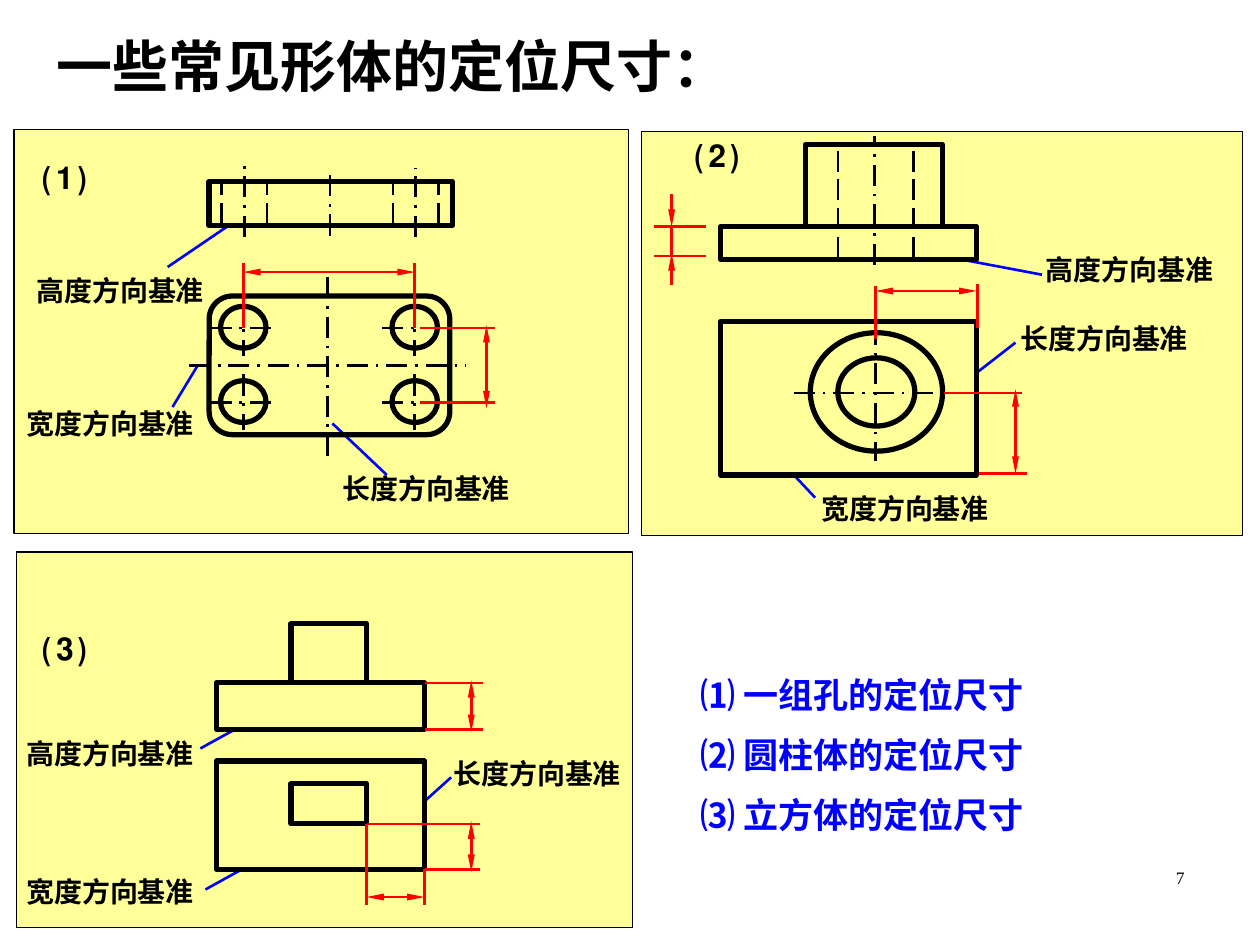
from dataclasses import dataclass
from itertools import product
from lxml.etree import SubElement as Sub
from pptx import Presentation
from pptx.dml.color import RGBColor
from pptx.enum.dml import MSO_LINE as Dash
from pptx.enum.shapes import MSO_CONNECTOR as Link, MSO_SHAPE as Kind
from pptx.enum.text import MSO_ANCHOR as Anchor, PP_ALIGN as Align
from pptx.oxml.ns import qn
from pptx.util import Pt

BLACK = RGBColor(0, 0, 0)
RED = RGBColor(255, 0, 0)
BLUE = RGBColor(0, 0, 255)
CREAM = RGBColor(255, 255, 153)
AXIS = Dash.LONG_DASH_DOT
HIDDEN = Dash.LONG_DASH
HEIGHT, WIDTH, LENGTH = "高度方向基准", "宽度方向基准", "长度方向基准"


@dataclass
class Box:
    """An area of the slide, in points."""
    shapes: object
    x: float
    y: float
    w: float
    h: float


def text(box, words, x, y, w, h, size=16, font="Roboto", color=BLACK, bold=True,
         align=Align.LEFT, anchor=Anchor.MIDDLE, wrap=True):
    """Place one line of formatted text."""
    frame = box.shapes.add_textbox(Pt(box.x + x), Pt(box.y + y), Pt(w), Pt(h)).text_frame
    frame.word_wrap = wrap
    frame.vertical_anchor = anchor
    para = frame.paragraphs[0]
    para.alignment = align
    run = para.add_run()
    run.text = words
    run.font.size, run.font.bold, run.font.name = Pt(size), bold, font
    run.font.color.rgb = color
    Sub(run.font._element, qn("a:ea"), typeface=font)


def shape(box, x, y, w, h, kind=Kind.RECTANGLE, fill=None, weight=3):
    """Draw an outlined preset shape."""
    item = box.shapes.add_shape(kind, Pt(box.x + x), Pt(box.y + y), Pt(w), Pt(h))
    item.shadow.inherit = False
    if fill is None:
        item.fill.background()
    else:
        item.fill.solid()
        item.fill.fore_color.rgb = fill
    item.line.color.rgb = BLACK
    item.line.width = Pt(weight)


def oval(box, x, y, w, h):
    """Draw an ellipse around a centre."""
    shape(box, x - w / 2, y - h / 2, w, h, Kind.OVAL)


def line(box, x1, y1, x2, y2, color=BLACK, dash=None, ends=()):
    """Draw a thin line with optional arrowheads."""
    item = box.shapes.add_connector(Link.STRAIGHT, Pt(box.x + x1), Pt(box.y + y1),
                                    Pt(box.x + x2), Pt(box.y + y2))
    item.line.color.rgb = color
    item.line.width = Pt(1.5)
    if dash:
        item.line.dash_style = dash
    for end in ends:
        Sub(item.line._get_or_add_ln(), qn(f"a:{end}End"), type="triangle", w="sm", len="lg")
    Sub(item._element.spPr, qn("a:effectLst"))


def arrow(box, x1, y1, x2, y2):
    """Draw a dimension line with two arrowheads."""
    line(box, x1, y1, x2, y2, RED, ends=("head", "tail"))


def rules(box, spans, color=BLACK, dash=None):
    """Draw several lines of one style."""
    for span in spans:
        line(box, *span, color, dash)


def panel(box, tag, x, y, notes):
    """Draw a panel with its number, captions and leaders."""
    shape(box, 0, 0, box.w, box.h, fill=CREAM, weight=0.75)
    text(box, tag, x, y, 39, 36, size=24, align=Align.CENTER, wrap=False)
    for words, left, top, lead in notes:
        text(box, words, left, top, 110, 27, align=Align.CENTER, wrap=False)
        line(box, *lead, BLUE)


def holes(box):
    """Draw the plate with four holes."""
    panel(box, "⑴", 9.3, 6.6, [
        (HEIGHT, 5.7, 78.6, (121.6, 55.6, 87.8, 78.6)),
        (WIDTH, 0, 154.2, (105, 134.8, 90.6, 158.6)),
        (LENGTH, 180.6, 191.7, (182, 168, 213, 197.4))])
    shape(box, 111.5, 29.7, 139, 25.2)
    for x, top in ((131.7, 18.2), (229.6, 21.8)):
        line(box, x, 61.4, x, top, dash=AXIS)
        for edge in (x - 13, x + 13):
            line(box, edge, 54.2, edge, 29.7, dash=HIDDEN)
    line(box, 180.6, 60.6, 180.6, 23.2, dash=AXIS)
    shape(box, 111.5, 95.2, 137.5, 79.2, Kind.ROUNDED_RECTANGLE)
    for x, y in product((131, 229), (113.5, 156)):
        oval(box, x, y - 0.5, 26, 23.8)
        rules(box, [(x - 18.7, y, x + 18.7, y), (x, y - 16, x, y + 16)], dash=AXIS)
    rules(box, [(100, 134.8, 258.4, 134.8), (179.2, 84.4, 179.2, 187.4)], dash=AXIS)
    rules(box, [(x, 113.5, x, 76.5) for x in (131, 229)], RED)
    rules(box, [(232, y, 275, y) for y in (113.5, 156)], RED)
    arrow(box, 131, 81.5, 229, 81.5)
    arrow(box, 270, 111.8, 270, 159.3)


def tube(box):
    """Draw the cylinder on a base."""
    panel(box, "⑵", 23.7, -6.6, [
        (HEIGHT, 223.9, 65.4, (182.9, 73.3, 229, 82)),
        (LENGTH, 209.5, 105, (191.5, 138.1, 213.8, 120.8)),
        (WIDTH, 95.7, 202.2, (99.3, 209.4, 87.1, 196.4))])
    shape(box, 45.3, 54.6, 146.2, 18.7)
    shape(box, 93.6, 7.8, 78.5, 46.5)
    rules(box, [(x, 72.6, x, 7.8) for x in (112.3, 155.5)], dash=HIDDEN)
    shape(box, 45.3, 108.6, 146.2, 87.8)
    oval(box, 134.3, 149, 44, 39)
    oval(box, 134.3, 149, 75.6, 67.7)
    rules(box, [(133.2, 76.2, 133.2, 2.8), (87.1, 149.6, 180.7, 149.6),
                (133.9, 110, 133.9, 188.5)], dash=AXIS)
    rules(box, [(133.9, 118.7, 133.9, 88.4), (192.2, 112.2, 192.2, 87),
                (172.8, 149.6, 217.4, 149.6), (193, 195.7, 220.3, 195.7),
                (36.7, 54.6, 7.2, 54.6), (36.7, 71.2, 7.2, 71.2),
                (17.3, 54.6, 17.3, 71.2)], RED)
    arrow(box, 133.9, 91.3, 191.5, 91.3)
    arrow(box, 213.8, 147.5, 213.8, 195.7)
    line(box, 17.3, 35.9, 17.3, 54.6, RED, ends=("tail",))
    line(box, 17.3, 69.7, 17.3, 87.7, RED, ends=("head",))


def block(box):
    """Draw the cuboid on a base."""
    panel(box, "⑶", 7.9, 34.5, [
        (HEIGHT, -1.5, 101.5, (126, 100.8, 105.1, 112.3)),
        (LENGTH, 242.6, 113, (233.2, 142.5, 248.4, 128.8)),
        (WIDTH, -1.5, 180.7, (128.8, 181.4, 108, 192.9))])
    for top, high in ((74.8, 26.6), (119.5, 61.9)):
        shape(box, 114.4, top, 118.8, high)
    for top, high in ((41, 33.8), (132.4, 23)):
        shape(box, 156.9, top, 43.2, high)
    rules(box, [(233.2, 74.8, 266.4, 74.8), (233.2, 101.5, 266.4, 101.5),
                (200.1, 155.5, 264.9, 155.5), (233.2, 181.4, 264.9, 181.4),
                (200.1, 155.5, 200.1, 201.6), (233.2, 181.4, 233.2, 201.6)], RED)
    arrow(box, 259.9, 73.4, 259.9, 102.9)
    arrow(box, 259.9, 154, 259.9, 182.8)
    arrow(box, 200.1, 197.2, 233.2, 197.2)


def legend(box):
    """List the three cases."""
    rows = ("⑴ 一组孔的定位尺寸", "⑵ 圆柱体的定位尺寸", "⑶ 立方体的定位尺寸")
    for i, words in enumerate(rows):
        text(box, words, 0, i * box.h / 3, box.w, 31.7, size=20,
             font="Noto Sans CJK SC", color=BLUE)


def main():
    """Build and save the slide."""
    deck = Presentation()
    deck.slide_width, deck.slide_height = Pt(720), Pt(540)
    shapes = deck.slides.add_slide(deck.slide_layouts[6]).shapes
    page = Box(shapes, 0, 0, 720, 540)
    text(page, "一些常见形体的定位尺寸：", 25.2, 14.4, 590, 46, size=32,
         font="Cabin", anchor=Anchor.TOP)
    holes(Box(shapes, 8, 74, 351, 231))
    tube(Box(shapes, 366.5, 75, 343.5, 231))
    block(Box(shapes, 9.4, 315.4, 352, 214.6))
    legend(Box(shapes, 393, 381, 302, 102.6))
    text(page, "7", 516, 492, 168, 36, size=10, font="Times New Roman", bold=False,
         align=Align.RIGHT, anchor=Anchor.TOP)
    deck.save("out.pptx")


if __name__ == "__main__":
    main()
